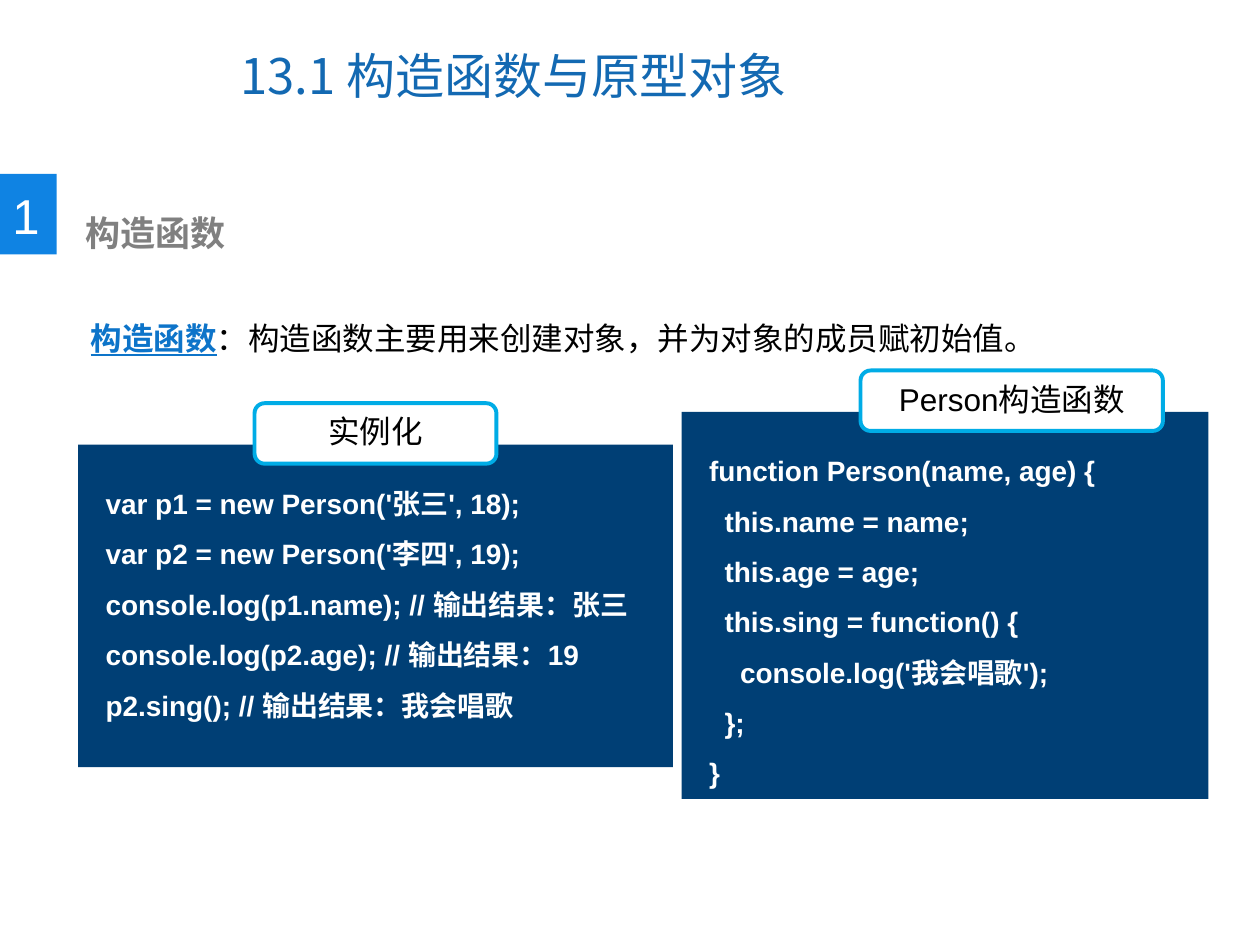
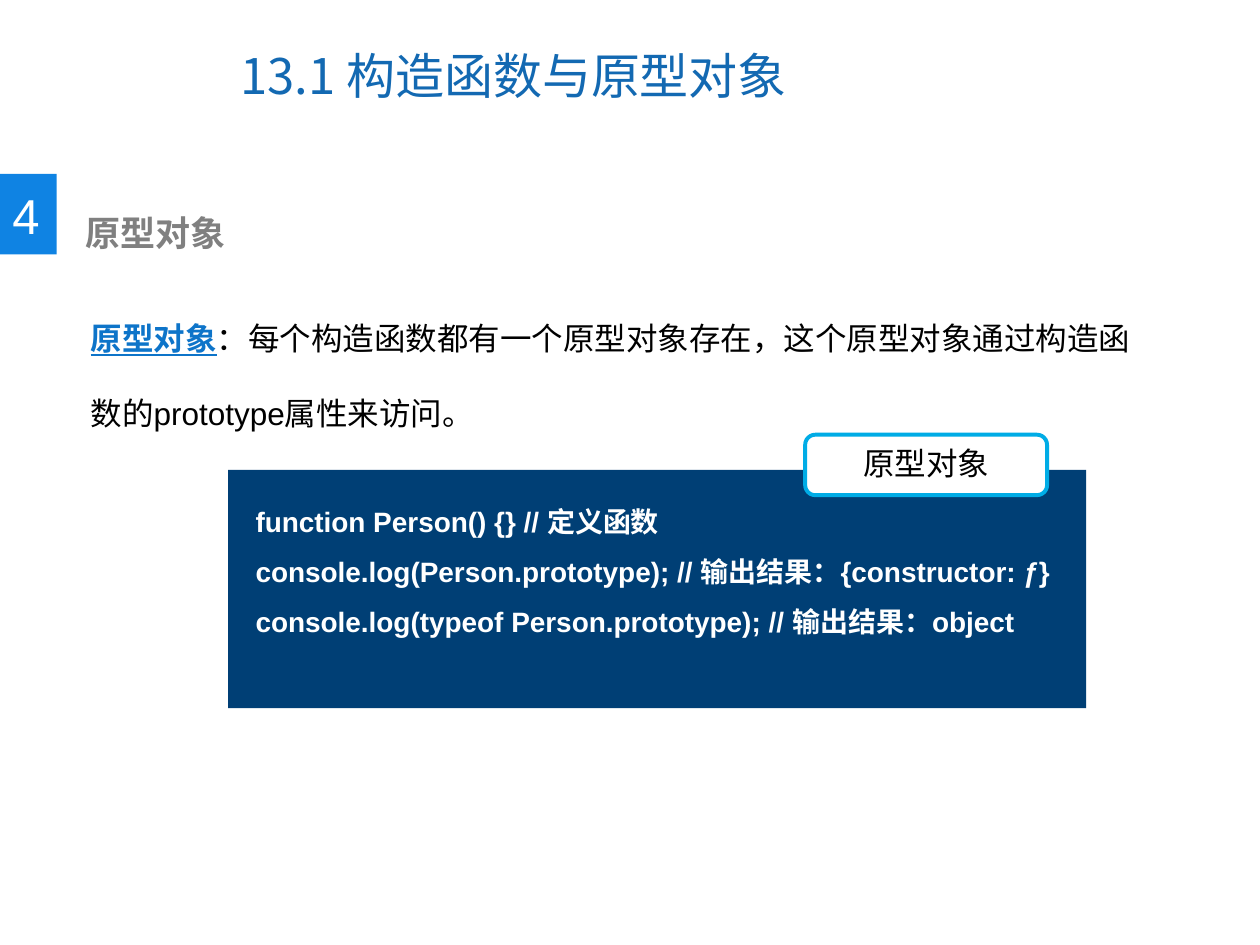
from lxml.etree import SubElement
from pptx import Presentation
from pptx.dml.color import RGBColor
from pptx.enum.shapes import MSO_SHAPE
from pptx.enum.text import MSO_ANCHOR, PP_ALIGN
from pptx.oxml.ns import qn
from pptx.util import Inches, Pt

COLORS = {
    "title": "1369B2", "badge": "0F83E3", "heading": "808080", "term": "0D74C9",
    "panel": "003F75", "label": "00ACE6", "white": "FFFFFF", "black": "000000",
}
LATIN, CJK = "Arial", "Noto Sans CJK SC"
TITLE = ("13.1 ", "构造函数与原型对象")
LABEL_HEIGHT = 0.48
CODE_INDENT = 0.12

# Boxes are (left, top, width, height) in inches; a label is (text, left, top, width).
SLIDES = [
    {
        "number": "1",
        "heading": "构造函数",
        "term": "构造函数",
        "definition": "：构造函数主要用来创建对象，并为对象的成员赋初始值。",
        "definition_height": 0.71,
        "panels": [
            {
                "box": (0.62, 3.53, 4.72, 2.56),
                "code_drop": 0.15,
                "label": ("实例化", 2.02, 3.2, 1.92),
                "code": [
                    "var p1 = new Person('张三', 18);",
                    "var p2 = new Person('李四', 19);",
                    "console.log(p1.name); // 输出结果：张三",
                    "console.log(p2.age); // 输出结果：19",
                    "p2.sing(); // 输出结果：我会唱歌",
                ],
            },
            {
                "box": (5.41, 3.27, 4.18, 3.07),
                "code_drop": 0.15,
                "label": ("Person构造函数", 6.83, 2.94, 2.4),
                "code": [
                    "function Person(name, age) {",
                    "  this.name = name;",
                    "  this.age = age;",
                    "  this.sing = function() {",
                    "    console.log('我会唱歌');",
                    "  };",
                    "}",
                ],
            },
        ],
    },
    {
        "number": "4",
        "heading": "原型对象",
        "term": "原型对象",
        "definition": "：每个构造函数都有一个原型对象存在，"
                      "这个原型对象通过构造函数的prototype属性来访问。",
        "definition_height": 1.31,
        "panels": [
            {
                "box": (1.81, 3.73, 6.81, 1.89),
                "code_drop": 0.09,
                "label": ("原型对象", 6.39, 3.45, 1.92),
                "code": [
                    "function Person() {} // 定义函数",
                    "console.log(Person.prototype); // 输出结果：{constructor: ƒ}",
                    "console.log(typeof Person.prototype); // 输出结果：object",
                ],
            },
        ],
    },
]


def add_run(p, text, size, color, bold=False, underline=False, font=LATIN):
    r = p.add_run()
    r.text = text
    r.font.name = font
    r.font.size = Pt(size)
    r.font.bold = bold
    r.font.underline = underline
    r.font.color.rgb = RGBColor.from_string(COLORS[color])
    SubElement(r.font._element, qn("a:ea")).set("typeface", CJK)


def add_text(shapes, box, wrap=True):
    tf = shapes.add_textbox(*map(Inches, box)).text_frame
    tf.word_wrap = wrap
    return tf


def add_box(shapes, kind, box, fill, line=None):
    sp = shapes.add_shape(kind, *map(Inches, box))
    sp.shadow.inherit = False
    sp.fill.solid()
    sp.fill.fore_color.rgb = RGBColor.from_string(COLORS[fill])
    if line:
        sp.line.color.rgb = RGBColor.from_string(COLORS[line])
        sp.line.width = Pt(2.25)
    else:
        sp.line.fill.background()
    return sp


def add_frame(shapes, number, heading):
    """Add the chapter title, number badge and section heading."""
    tf = add_text(shapes, (1.81, 0.17, 5.16, 0.85))
    tf.vertical_anchor = MSO_ANCHOR.MIDDLE
    for text, font in zip(TITLE, (CJK, LATIN)):
        add_run(tf.paragraphs[0], text, 28, "title", font=font)

    badge = shapes.add_group_shape().shapes
    add_box(badge, MSO_SHAPE.RECTANGLE, (0, 1.38, 0.45, 0.64), "badge")
    tf = add_text(badge, (0, 1.42, 0.42, 0.57), wrap=False)
    add_run(tf.paragraphs[0], number, 28, "white")

    tf = add_text(shapes, (0.58, 1.63, 5.03, 0.44))
    add_run(tf.paragraphs[0], heading, 20, "heading", bold=True)


def add_definition(shapes, term, definition, height):
    p = add_text(shapes, (0.62, 2.18, 8.65, height)).paragraphs[0]
    p.line_spacing = 2.0
    add_run(p, term, 18, "term", bold=True, underline=True)
    add_run(p, definition, 18, "black")


def add_panel(shapes, box, code_drop, label, code):
    """Add a code panel with its label overlapping the top edge."""
    left, top, width, height = box
    panel = shapes.add_group_shape().shapes
    add_box(panel, MSO_SHAPE.RECTANGLE, box, "panel")
    tf = add_text(panel, (left + CODE_INDENT, top + code_drop,
                          width - CODE_INDENT, height - code_drop))
    for i, line in enumerate(code):
        p = tf.add_paragraph() if i else tf.paragraphs[0]
        p.line_spacing = 1.5
        add_run(p, line, 16, "white", bold=True)

    text, left, top, width = label
    sp = add_box(shapes, MSO_SHAPE.ROUNDED_RECTANGLE,
                 (left, top, width, LABEL_HEIGHT), "white", "label")
    tf = sp.text_frame
    tf.vertical_anchor = MSO_ANCHOR.TOP
    p = tf.paragraphs[0]
    p.alignment = PP_ALIGN.CENTER
    add_run(p, text, 18, "black")


def main():
    prs = Presentation()
    prs.slide_width, prs.slide_height = Inches(10), Inches(7.5)
    for s in SLIDES:
        shapes = prs.slides.add_slide(prs.slide_layouts[6]).shapes
        add_definition(shapes, s["term"], s["definition"], s["definition_height"])
        add_frame(shapes, s["number"], s["heading"])
        for panel in s["panels"]:
            add_panel(shapes, **panel)
    prs.save("out.pptx")


if __name__ == "__main__":
    main()
